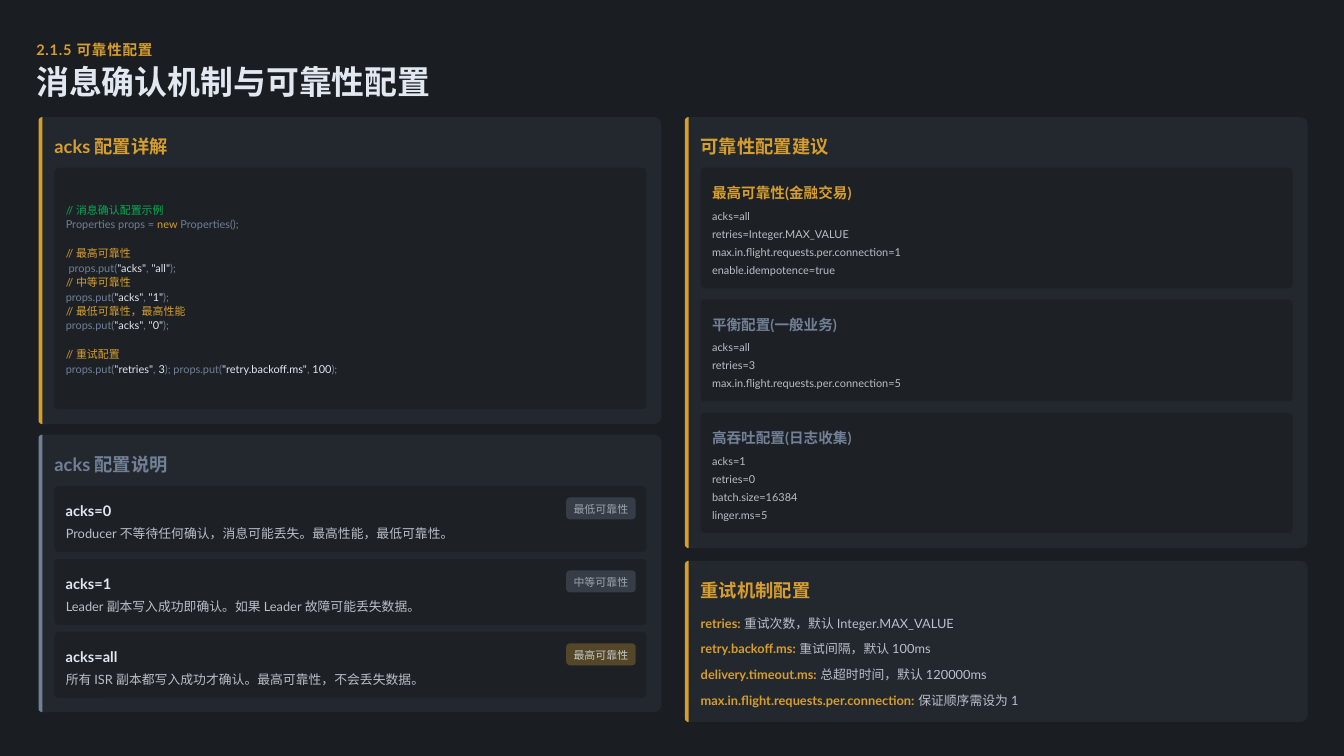
from math import cos, pi, sin

from lxml import etree
from pptx import Presentation
from pptx.dml.color import RGBColor as RGB
from pptx.enum.shapes import MSO_SHAPE as Shape
from pptx.enum.text import MSO_ANCHOR as Anchor, MSO_AUTO_SIZE as Fit, PP_ALIGN as Align
from pptx.oxml.ns import qn
from pptx.util import Inches, Pt

FONT = "Lato"
COLORS = {"back": "1A1D21", "panel": "4A5568", "gold": "D69E2E",
          "gray": "718096", "light": "E2E8F0", "green": "00B050"}
LEFT, RIGHT = 0.51, 9.06
WIDTH, CARD = 8.24, 7.83
INSET, PAD = 0.21, 0.15

LEVELS = [
    ("acks=0", "Producer 不等待任何确认，消息可能丢失。最高性能，最低可靠性。",
     "最低可靠性", "gray", 60),
    ("acks=1", "Leader 副本写入成功即确认。如果 Leader 故障可能丢失数据。",
     "中等可靠性", "gray", 60),
    ("acks=all", "所有 ISR 副本都写入成功才确认。最高可靠性，不会丢失数据。",
     "最高可靠性", "gold", 80),
]
ADVICE = [
    ("最高可靠性(金融交易)", "gold",
     ["acks=all", "retries=Integer.MAX_VALUE",
      "max.in.flight.requests.per.connection=1", "enable.idempotence=true"]),
    ("平衡配置(一般业务)", "gray",
     ["acks=all", "retries=3", "max.in.flight.requests.per.connection=5"]),
    ("高吞吐配置(日志收集)", "gray",
     ["acks=1", "retries=0", "batch.size=16384", "linger.ms=5"]),
]
RETRIES = [
    ("retries:", " 重试次数，默认 Integer.MAX_VALUE"),
    ("retry.backoff.ms:", " 重试间隔，默认 100ms"),
    ("delivery.timeout.ms:", " 总超时时间，默认 120000ms"),
    ("max.in.flight.requests.per.connection:", " 保证顺序需设为 1"),
]


def paint(fill, color, alpha=100):
    """Give a shape or font fill a solid colour, alpha in percent."""
    fill.solid()
    fill.fore_color.rgb = RGB.from_string(COLORS[color])
    if alpha < 100:
        solid = fill._xPr.find(qn("a:solidFill"))
        etree.SubElement(solid[0], qn("a:alpha")).set("val", str(alpha * 1000))


def finish(shape, color, alpha):
    shape.shadow.inherit = False
    shape.line.fill.background()
    paint(shape.fill, color, alpha)


def write(shape, lines, size, spacing, bold=False):
    """Fill a shape with lines, each a list of (text, colour, alpha) runs."""
    frame = shape.text_frame
    frame.word_wrap = True
    frame.auto_size = Fit.NONE
    frame.vertical_anchor = Anchor.MIDDLE
    frame.margin_left = frame.margin_right = 0
    frame.margin_top = frame.margin_bottom = 0
    for i, runs in enumerate(lines):
        para = frame.add_paragraph() if i else frame.paragraphs[0]
        para.alignment = Align.LEFT
        para.line_spacing = spacing
        para.font.name, para.font.size, para.font.bold = FONT, Pt(size), bold
        for text, color, alpha in runs:
            run = para.add_run()
            run.text = text
            paint(run.font.fill, color, alpha)
    return frame


def add_text(slide, x, y, w, h, lines, size, spacing, bold=False):
    box = slide.shapes.add_textbox(Inches(x), Inches(y), Inches(w), Inches(h))
    return write(box, lines, size, spacing, bold)


def add_card(slide, x, y, w, h, color="back", alpha=60):
    card = slide.shapes.add_shape(
        Shape.ROUNDED_RECTANGLE, Inches(x), Inches(y), Inches(w), Inches(h))
    card.adjustments[0] = 0.05 / h
    finish(card, color, alpha)
    return card


def add_block(slide, x, y, w, h, near, far, color, alpha=100):
    """Draw a block with one corner radius on its left and one on its right."""
    corners = [(x + near, y + near, near, 2), (x + w - far, y + far, far, 3),
               (x + w - far, y + h - far, far, 0), (x + near, y + h - near, near, 1)]
    points = []
    for cx, cy, r, turn in corners:
        for step in range(9 if r else 1):
            angle = (turn + step / 8) * pi / 2
            points.append((Inches(cx + r * cos(angle)), Inches(cy + r * sin(angle))))
    path = slide.shapes.build_freeform(*points[0])
    path.add_line_segments(points[1:], close=True)
    finish(path.convert_to_shape(), color, alpha)


def add_panel(slide, x, y, h, title, color):
    add_block(slide, x, y, WIDTH, h, 0.05, 0.1, "panel", 20)
    add_block(slide, x, y, 0.05, h, 0.05, 0, color)
    add_text(slide, x + INSET, y + 0.19, 7.95, 0.34,
             [[(title, color, 100)]], 17.4, 1.2, True)


def add_heading(slide):
    frame = add_text(slide, 0.48, 0.48, 16.91, 0.29,
                     [[("2.1.5 可靠性配置", "gold", 100)]], 13.9, 1.3, True)
    frame.paragraphs[0].runs[0].font._element.set("spc", "70")
    title = slide.shapes.title
    title.left, title.top = Inches(0.48), Inches(0.87)
    title.width, title.height = Inches(17.03), Inches(0.48)
    write(title, [[("消息确认机制与可靠性配置", "light", 100)]], 31.3, 0.9, True)


def put(key, value, start="props.put("):
    """Return the coloured runs of one props.put call."""
    parts = [start, key, ", ", value, ");"]
    return [(part, "light" if i % 2 else "gray", 100) for i, part in enumerate(parts)]


def note(text, color="gold"):
    return [("// " + text, color, 100)]


def add_code(slide, x, y):
    add_card(slide, x, y, CARD, 3.19)
    lines = [
        note("消息确认配置示例", "green"),
        [("Properties props = ", "gray", 100), ("new", "gold", 100),
         (" Properties();", "gray", 100)],
        note("最高可靠性"), put('"acks"', '"all"', " props.put("),
        note("中等可靠性"), put('"acks"', '"1"'),
        note("最低可靠性，最高性能"), put('"acks"', '"0"'),
        note("重试配置"),
        put('"retries"', "3")[:-1] + put('"retry.backoff.ms"', "100", "); props.put("),
    ]
    frame = add_text(slide, x + PAD, y + PAD, 7.61, 2.9, lines, 10.4, 1.1)
    for i in (2, 8):
        frame.paragraphs[i].space_before = Pt(13.8)


def add_level(slide, x, y, name, text, tag, color, alpha):
    add_card(slide, x, y, CARD, 0.87)
    add_text(slide, x + PAD, y + PAD, 2, 0.29, [[(name, "light", 100)]], 13.9, 1.3, True)
    badge = add_card(slide, x + 6.77, y + PAD, 0.92, 0.29, color, 30)
    frame = write(badge, [[(tag, "light", alpha)]], 10.4, 1.1)
    frame.paragraphs[0].alignment = Align.CENTER
    add_text(slide, x + PAD, y + 0.48, 7.62, 0.24, [[(text, "light", 80)]], 12.2, 1.2)


def add_advice(slide, x, y, h, name, color, items):
    add_card(slide, x, y, CARD, h)
    add_text(slide, x + PAD, y + PAD, 7.63, 0.29, [[(name, color, 100)]], 13.9, 1.3, True)
    for i, item in enumerate(items):
        add_text(slide, x + PAD, y + 0.53 + 0.24 * i, 7.61, 0.19,
                 [[(item, "light", 80)]], 10.4, 1.1)


def add_retry(slide, x, y, name, text):
    frame = add_text(slide, x, y, 7.91, 0.24,
                     [[(name, "gold", 100), (text, "light", 80)]], 12.2, 1.2)
    frame.paragraphs[0].runs[0].font.bold = True


def main():
    deck = Presentation()
    deck.slide_width, deck.slide_height = Inches(17.78), Inches(10)
    slide = deck.slides.add_slide(deck.slide_layouts[5])
    paint(slide.background.fill, "back")
    add_heading(slide)

    add_panel(slide, LEFT, 1.55, 4.06, "acks 配置详解", "gold")
    add_code(slide, LEFT + INSET, 2.22)

    add_panel(slide, LEFT, 5.75, 3.67, "acks 配置说明", "gray")
    for i, level in enumerate(LEVELS):
        add_level(slide, LEFT + INSET, 6.43 + 0.965 * i, *level)

    add_panel(slide, RIGHT, 1.55, 5.7, "可靠性配置建议", "gold")
    top = 2.22
    for name, color, items in ADVICE:
        high = 0.63 + 0.24 * len(items)
        add_advice(slide, RIGHT + INSET, top, high, name, color, items)
        top += high + PAD

    add_panel(slide, RIGHT, 7.42, 2.13, "重试机制配置", "gold")
    for i, (name, text) in enumerate(RETRIES):
        add_retry(slide, RIGHT + INSET, 8.1 + 0.34 * i, name, text)

    deck.save("out.pptx")


if __name__ == "__main__":
    main()
